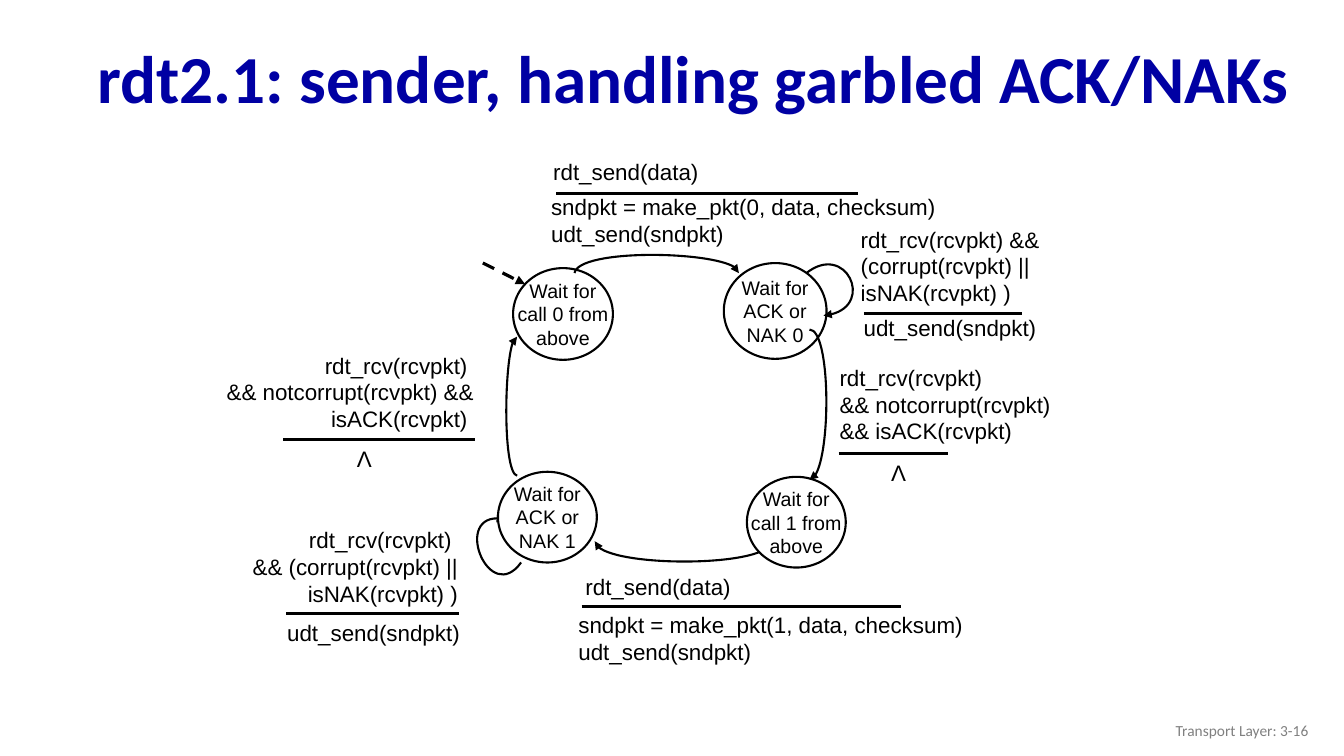
from lxml.etree import SubElement
from pptx import Presentation
from pptx.dml.color import RGBColor
from pptx.enum.dml import MSO_LINE
from pptx.enum.shapes import MSO_CONNECTOR, MSO_SHAPE
from pptx.enum.text import MSO_ANCHOR, PP_ALIGN
from pptx.oxml.ns import qn
from pptx.util import Pt

COLORS = {"ink": "000000", "title": "0000A3", "footer": "808080", "state": "FFFFFF"}
LEFT, CENTER, RIGHT = PP_ALIGN.LEFT, PP_ALIGN.CENTER, PP_ALIGN.RIGHT
TOP, MIDDLE = MSO_ANCHOR.TOP, MSO_ANCHOR.MIDDLE

deck = Presentation()
deck.slide_width, deck.slide_height = Pt(960), Pt(540)
page = deck.slides.add_slide(deck.slide_layouts[6])


def add_text(frame, lines, align=LEFT, color="ink", spacing=1.0, anchor=TOP, **font):
    box = page.shapes.add_textbox(*map(Pt, frame))
    box.text_frame.word_wrap = True
    box.text_frame.vertical_anchor = anchor
    for index, line in enumerate(lines):
        para = box.text_frame.paragraphs[0] if index == 0 else box.text_frame.add_paragraph()
        para.alignment, para.line_spacing = align, spacing
        span = para.add_run()
        span.text = line
        span.font.color.rgb = RGBColor.from_string(COLORS[color])
        for name, value in ({"name": "Arial", "size": Pt(16)} | font).items():
            setattr(span.font, name, value)


def add_curve(points):
    start, *rest = [tuple(map(Pt, point)) for point in points]
    builder = page.shapes.build_freeform(*start)
    builder.add_line_segments(rest, close=False)
    curve = builder.convert_to_shape()
    curve.shadow.inherit = False
    curve.fill.background()
    curve.line.color.rgb = RGBColor.from_string(COLORS["ink"])
    curve.line.width = Pt(1.5)
    SubElement(curve.line._get_or_add_ln(), qn("a:tailEnd"), type="triangle")
    segments = list(curve._element.iter(qn("a:lnTo")))
    bezier = SubElement(segments[0].getparent(), qn("a:cubicBezTo"))
    for segment in segments:
        bezier.append(segment[0])
        segment.getparent().remove(segment)


add_text((62.6, 23, 874, 70.6), ["rdt2.1: sender, handling garbled ACK/NAKs"], color="title",
         spacing=0.9, anchor=MIDDLE, name="Calibri", size=Pt(48), bold=True)

curves_behind_states = [
    [(550.8, 386.6), (550.8, 404.6), (427, 406.1), (424.8, 386.6)],
    [(372.2, 401.8), (349.9, 432.7), (321.1, 363.6), (360.7, 370.8)],
]
for points in curves_behind_states:
    add_curve(points)

states = [
    ((366.5, 191.5, 71.3, 65.5), ["Wait for", "call 0 from", "above"]),
    ((517, 187.9, 73.4, 68.4), ["Wait for", "ACK or", "NAK 0"]),
    ((533.5, 340.6, 70.6, 64.8), ["Wait for", "call 1 from", "above"]),
    ((355.7, 337, 70.6, 64.8), ["Wait for", "ACK or", "NAK 1"]),
]
for (left, top, width, height), lines in states:
    state = page.shapes.add_shape(MSO_SHAPE.OVAL, *map(Pt, (left, top, width, height)))
    state.shadow.inherit = False
    state.fill.solid()
    state.fill.fore_color.rgb = RGBColor.from_string(COLORS["state"])
    state.line.color.rgb = RGBColor.from_string(COLORS["ink"])
    state.line.width = Pt(1.5)
    add_text((left - 8, top, width + 16, height), lines, CENTER, anchor=MIDDLE, size=Pt(14))

curves_over_states = [
    [(410.4, 195.1), (413.3, 177.8), (527.8, 179.3), (527.8, 195.1)],
    [(576, 195.1), (604.1, 172.8), (627.1, 221.8), (588.2, 225.4)],
    [(578.2, 235.4), (593.3, 235.4), (594, 340.6), (578.2, 342.7)],
    [(369.4, 339.8), (359.3, 337.7), (360, 240.5), (369.4, 240.5)],
]
for points in curves_over_states:
    add_curve(points)

rules = [(397.4, 138.2, 612.7), (617, 223.9, 730.1), (415.4, 433.4, 643.7),
         (204.5, 438.5, 327.6), (599, 324, 677.5), (202.3, 313.9, 339.1)]
strokes = [(left, y, right, y) for left, y, right in rules]
start_arrow = (344.9, 187.9, 375.1, 203)
for ends in strokes + [start_arrow]:
    stroke = page.shapes.add_connector(MSO_CONNECTOR.STRAIGHT, *map(Pt, ends))
    stroke.line.color.rgb = RGBColor.from_string(COLORS["ink"])
    stroke.line.width = Pt(2.25)
    if ends == start_arrow:
        stroke.line.dash_style = MSO_LINE.DASH
        SubElement(stroke.line._get_or_add_ln(), qn("a:tailEnd"), type="triangle")
    SubElement(stroke._element.spPr, qn("a:effectLst"))

labels = [
    ((388.1, 109.4, 188, 24), LEFT, ["rdt_send(data)"]),
    ((386.6, 134.6, 291, 46), LEFT, ["sndpkt = make_pkt(0, data, checksum)", "udt_send(sndpkt)"]),
    ((607.7, 157.7, 250, 66), LEFT,
     ["rdt_rcv(rcvpkt) &&", "(corrupt(rcvpkt) ||", "isNAK(rcvpkt) )"]),
    ((609.8, 221, 178, 32), LEFT, ["udt_send(sndpkt)"]),
    ((592.6, 256.3, 236, 66), LEFT,
     ["rdt_rcv(rcvpkt)", "&& notcorrupt(rcvpkt)", "&& isACK(rcvpkt)"]),
    ((629.3, 324.7, 25.2, 26.6), CENTER, ["Λ"]),
    ((411.1, 406.1, 188, 24), LEFT, ["rdt_send(data)"]),
    ((406.1, 432.7, 297, 46), LEFT, ["sndpkt = make_pkt(1, data, checksum)", "udt_send(sndpkt)"]),
    ((146.2, 372.2, 188, 66), RIGHT,
     ["rdt_rcv(rcvpkt) ", "&& (corrupt(rcvpkt) ||", "isNAK(rcvpkt) )"]),
    ((198, 438.5, 143.3, 24), LEFT, ["udt_send(sndpkt)"]),
    ((60.5, 247.7, 285, 66), RIGHT,
     ["rdt_rcv(rcvpkt) ", "&& notcorrupt(rcvpkt) &&", "isACK(rcvpkt) "]),
    ((247.7, 314.6, 25.2, 26.6), CENTER, ["Λ"]),
]
for frame, align, lines in labels:
    add_text(frame, lines, align)

add_text((725.8, 507.6, 216, 28.8), ["Transport Layer: 3-16"], RIGHT, "footer",
         anchor=MIDDLE, name="Calibri", size=Pt(11))

deck.save("out.pptx")
